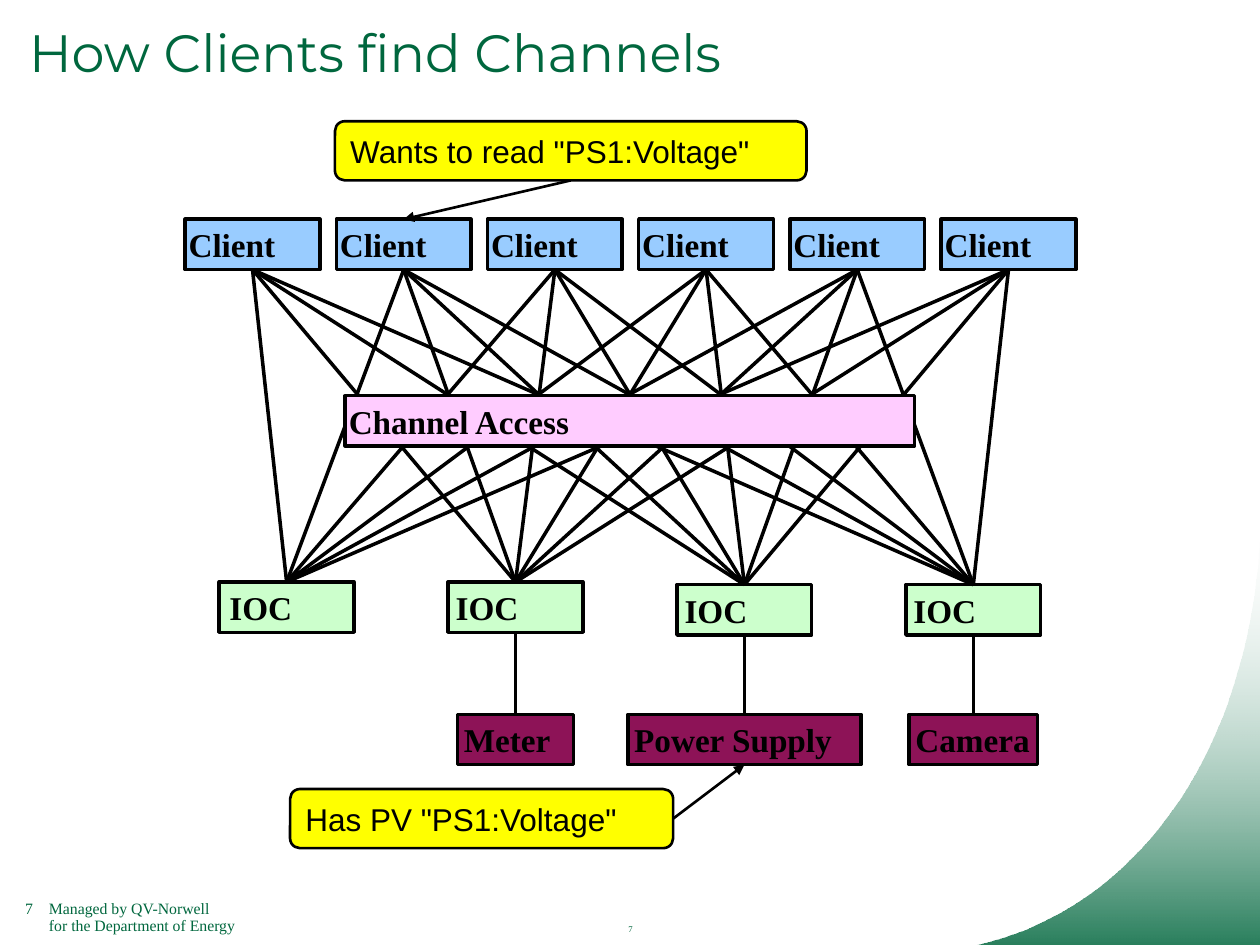
"""Build the slide that shows how clients find channels."""
from dataclasses import dataclass

from lxml import etree
from pptx import Presentation
from pptx.dml.color import RGBColor
from pptx.enum.shapes import MSO_CONNECTOR, MSO_SHAPE
from pptx.enum.text import MSO_ANCHOR, MSO_AUTO_SIZE, PP_ALIGN
from pptx.oxml.ns import qn
from pptx.util import Pt

STRAIGHT = MSO_CONNECTOR.STRAIGHT
RECT, ROUNDED = MSO_SHAPE.RECTANGLE, MSO_SHAPE.ROUNDED_RECTANGLE
MIDDLE, TOP_ANCHOR = MSO_ANCHOR.MIDDLE, MSO_ANCHOR.TOP
LEFT, CENTER = PP_ALIGN.LEFT, PP_ALIGN.CENTER
FIXED_SIZE = MSO_AUTO_SIZE.NONE
TOP_SIDE, BOTTOM_SIDE, RIGHT_SIDE = 0, 2, 3
TITLE_ONLY = 5

COLORS = {
    "black": "000000",
    "white": "FFFFFF",
    "green": "01673E",
    "title": "00673E",
    "client": "99CCFF",
    "ioc": "CCFFCC",
    "device": "8D1357",
    "access": "FFCCFF",
    "callout": "FFFF00",
}
LABEL_FONT = {"name": "Times New Roman", "size": Pt(19), "bold": True}
CALLOUT_FONT = {"name": "Arial", "size": Pt(18), "bold": False}
TITLE_FONT = {"name": "Montserrat", "size": Pt(30), "bold": False}
FOOTER_FONT = {"name": "Times New Roman", "size": Pt(9)}
PAGE_FONT = {"name": "Times New Roman", "size": Pt(5)}

BOX_HEIGHT = 28.8
NODE_WIDTH = 77
CLIENT_LEFT, CLIENT_STEP, CLIENT_TOP = 105.8, 86.4, 125.3
IOC_LEFT, IOC_STEP = 125.3, 130.8
IOC_TOPS = (332.6, 332.6, 334.1, 334.1)
IOC_INSETS = (5.8, 4.3, 4.3, 4.3)
DEVICE_TOP = 408.2
DEVICES = (("Meter", 66.2), ("Power Supply", 133.2), ("Camera", 73.4))
SWOOSH = ((720, 285.1), (720, 420.5), (653.8, 518.4), (557.3, 540))
SWOOSH_STEPS = 40


@dataclass
class Box:
    """A labelled box, measured in points."""

    text: str
    left: float
    top: float
    width: float
    fill: str
    inset: float = 2
    height: float = BOX_HEIGHT
    kind: int = RECT
    line: float = 2


def set_font(font, values: dict, color: str) -> None:
    """Apply format values and a colour to a font."""
    for key, value in values.items():
        setattr(font, key, value)
    font.color.rgb = RGBColor.from_string(COLORS[color])


def add_box(slide, box: Box, font: dict = LABEL_FONT):
    """Draw one labelled box."""
    shape = slide.shapes.add_shape(
        box.kind, Pt(box.left), Pt(box.top), Pt(box.width), Pt(box.height))
    shape.shadow.inherit = False
    shape.fill.solid()
    shape.fill.fore_color.rgb = RGBColor.from_string(COLORS[box.fill])
    shape.line.color.rgb = RGBColor.from_string(COLORS["black"])
    shape.line.width = Pt(box.line)
    frame = shape.text_frame
    frame_format = {
        "word_wrap": True, "vertical_anchor": MIDDLE, "margin_left": Pt(box.inset),
        "margin_right": 0, "margin_top": Pt(1), "margin_bottom": Pt(1),
    }
    for key, value in frame_format.items():
        setattr(frame, key, value)
    frame.text = box.text
    paragraph = frame.paragraphs[0]
    paragraph.alignment = LEFT
    set_font(paragraph.runs[0].font, font, "black")
    return shape


def join(slide, start, start_side: int, end, end_side: int,
         width: float = 2, arrow: bool = False) -> None:
    """Connect the middles of two box sides."""
    connector = slide.shapes.add_connector(STRAIGHT, 0, 0, 0, 0)
    connector.begin_connect(start, start_side)
    connector.end_connect(end, end_side)
    connector.line.color.rgb = RGBColor.from_string(COLORS["black"])
    connector.line.width = Pt(width)
    properties = connector._element.spPr
    if arrow:
        etree.SubElement(properties.find(qn("a:ln")), qn("a:tailEnd"), type="triangle")
    etree.SubElement(properties, qn("a:effectLst"))


def add_note(slide, text: str, left: float, top: float, width: float,
             height: float, font: dict):
    """Write one small green text and return its paragraph."""
    frame = slide.shapes.add_textbox(Pt(left), Pt(top), Pt(width), Pt(height)).text_frame
    frame.word_wrap = True
    frame.vertical_anchor = TOP_ANCHOR
    frame.text = text
    paragraph = frame.paragraphs[0]
    paragraph.line_spacing = 0.9
    for run in paragraph.runs:
        set_font(run.font, font, "green")
    return paragraph


def curve_point(t: float) -> tuple[float, float]:
    """Return the point of the swoosh's cubic edge at t."""
    weights = ((1 - t) ** 3, 3 * t * (1 - t) ** 2, 3 * t * t * (1 - t), t ** 3)
    x, y = (sum(w * p[axis] for w, p in zip(weights, SWOOSH)) for axis in (0, 1))
    return Pt(x), Pt(y)


def add_swoosh(slide) -> None:
    """Draw the fading green corner."""
    builder = slide.shapes.build_freeform(Pt(720), Pt(540))
    edge = [curve_point(step / SWOOSH_STEPS) for step in range(SWOOSH_STEPS + 1)]
    builder.add_line_segments(edge, close=True)
    swoosh = builder.convert_to_shape()
    swoosh.shadow.inherit = False
    swoosh.line.fill.background()
    swoosh.fill.gradient()
    swoosh.fill.gradient_angle = 270
    stops = swoosh.fill.gradient_stops
    for stop, position, color in zip(stops, (0, 1), ("white", "green")):
        stop.position = position
        stop.color.rgb = RGBColor.from_string(COLORS[color])
    tints = swoosh._element.spPr.iter(qn("a:srgbClr"))
    for tint, alpha in zip(list(tints), ("0", "84000")):
        etree.SubElement(tint, qn("a:alpha"), val=alpha)


def add_title(slide, text: str) -> None:
    """Fill and place the title placeholder."""
    title = slide.shapes.title
    place = {"left": Pt(9.4), "top": Pt(12.2), "width": Pt(691.2), "height": Pt(39.6)}
    for key, value in place.items():
        setattr(title, key, value)
    frame = title.text_frame
    frame.text = text
    frame.auto_size = FIXED_SIZE
    frame.vertical_anchor = MIDDLE
    paragraph = frame.paragraphs[0]
    paragraph.alignment = LEFT
    paragraph.line_spacing = 0.85
    set_font(paragraph.runs[0].font, TITLE_FONT, "title")


def add_network(slide) -> None:
    """Draw clients, channel access, IOCs, devices and callouts."""
    clients = [
        add_box(slide, Box("Client", CLIENT_LEFT + i * CLIENT_STEP, CLIENT_TOP,
                           NODE_WIDTH, "client"))
        for i in range(6)
    ]
    ioc_lefts = [IOC_LEFT + i * IOC_STEP for i in range(len(IOC_TOPS))]
    iocs = [
        add_box(slide, Box("IOC", left, top, NODE_WIDTH, "ioc", inset))
        for left, top, inset in zip(ioc_lefts, IOC_TOPS, IOC_INSETS)
    ]
    devices = [
        add_box(slide, Box(name, left + (NODE_WIDTH - width) / 2, DEVICE_TOP,
                           width, "device", 3.6))
        for (name, width), left in zip(DEVICES, ioc_lefts[1:])
    ]
    for client in clients:
        for ioc in iocs:
            join(slide, client, BOTTOM_SIDE, ioc, TOP_SIDE)
    for ioc, device in zip(iocs[1:], devices):
        join(slide, ioc, BOTTOM_SIDE, device, TOP_SIDE)
    add_box(slide, Box("Channel Access", 197.3, 226.1, 325.4, "access"))

    callouts = (
        ('Has PV "PS1:Voltage"', 165.8, 450.9, 218.9, RIGHT_SIDE, devices[1], BOTTOM_SIDE),
        ('Wants to read "PS1:Voltage"', 191.4, 69.3, 269.5, BOTTOM_SIDE, clients[1], TOP_SIDE),
    )
    for text, left, top, width, side, target, target_side in callouts:
        callout = add_box(slide, Box(text, left, top, width, "callout", 7.2, 33.8,
                                     ROUNDED, 1.5), CALLOUT_FONT)
        join(slide, callout, side, target, target_side, 1.5, True)


def main() -> None:
    """Assemble and save the slide."""
    deck = Presentation()
    deck.slide_width, deck.slide_height = Pt(720), Pt(540)
    slide = deck.slides.add_slide(deck.slide_layouts[TITLE_ONLY])
    footer = add_note(slide, "7\tManaged by QV-Norwell\vfor the Department of Energy",
                      7.2, 511.2, 142, 21.6, FOOTER_FONT)
    for key, value in {"marL": Pt(13.7), "indent": -Pt(13.7)}.items():
        footer._p.get_or_add_pPr().set(key, str(int(value)))
    add_swoosh(slide)
    add_note(slide, "7", 246.2, 524.9, 228.2, 14.4, PAGE_FONT).alignment = CENTER
    add_title(slide, "How Clients find Channels")
    add_network(slide)
    deck.save("out.pptx")


if __name__ == "__main__":
    main()
